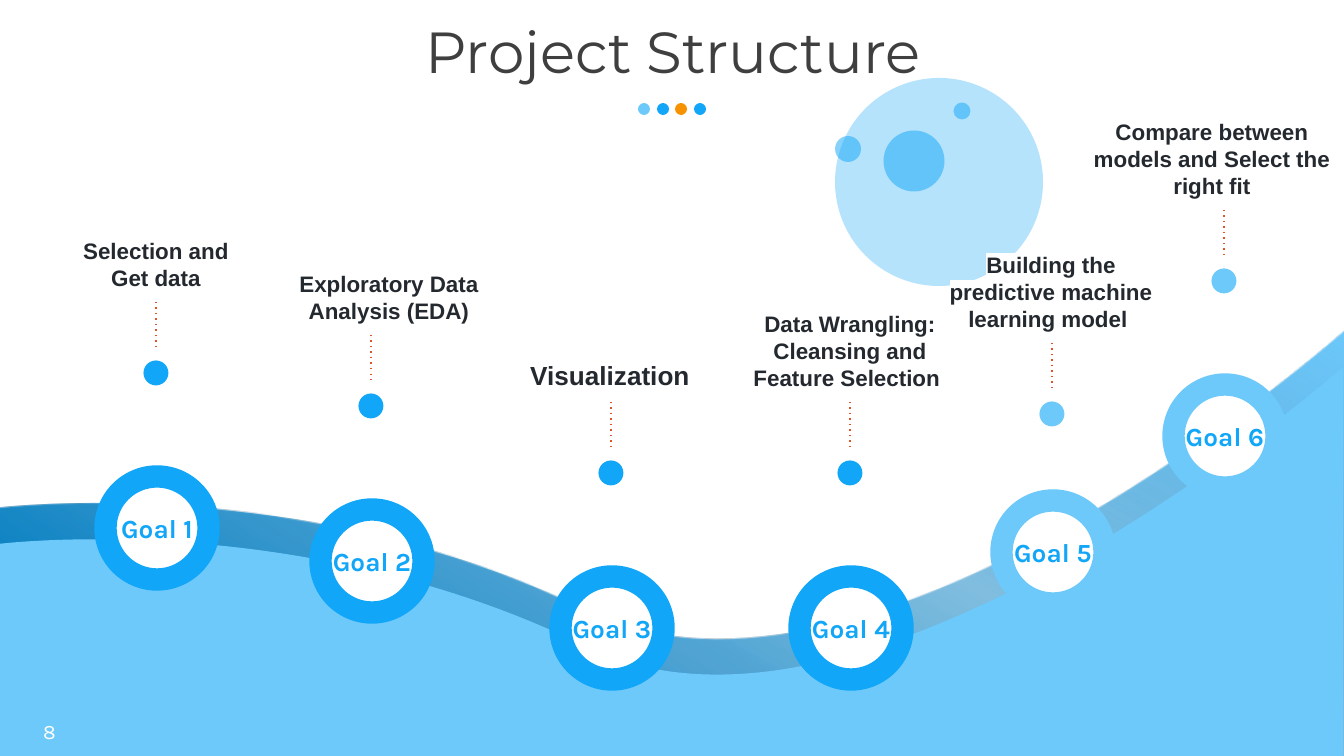
import pptx
import pptx.dml.color
import pptx.enum.dml
import pptx.enum.shapes
import pptx.enum.text
import pptx.oxml
import pptx.oxml.ns
import pptx.util

WIDTH, HEIGHT = 1344, 756
EMU_PER_PX = 914400 / 134.4
COLORS = {
    "blue": "11A6F8", "sky": "6EC9FB", "deep": "057EC1", "orange": "F69200",
    "white": "FFFFFF", "ink": "24292F", "title": "3F3F3F", "pin": "DF5327",
}
ALIGN = pptx.enum.text.PP_ALIGN
ANCHOR = pptx.enum.text.MSO_ANCHOR

WAVE_START = (-1, 508)
# two control points and an end point each
WAVE_CURVES = [
    [(-1, 508), (300, 470), (586, 610)],
    [(871, 750), (1344, 331), (1344, 331)],
]
WAVE_FOOT = [(1344, 757), (-1, 757)]
ROAD_STOPS = [(0, "deep", 100), (13, "deep", 100), (61, "deep", 50), (100, "sky", 100)]

TITLE_DOTS = [(644, "sky"), (663, "blue"), (681, "orange"), (700, "blue")]
# centre x, centre y, diameter, colour
MOON = [(939, 182, 208, "sky"), (914, 161, 61, "blue"),
        (848, 149, 26, "blue"), (962, 111, 17, "blue")]
# ring centre x and y, pin dot y, label centre x, label width, label size, colour, label
GOALS = [
    (157, 528, 373, 156, 191, 12, "blue", "Selection and Get data"),
    (372, 561, 406, 389, 227, 12, "blue", "Exploratory Data Analysis (EDA)"),
    (612, 628, 473, 610, 191, 14, "blue", "Visualization"),
    (851, 628, 473, 850, 238, 12, "blue",
     "Data Wrangling: Cleansing and Feature Selection "),
    (1053, 552, 414, 1051, 239, 12, "sky",
     "Building the predictive machine learning model "),
    (1225, 436, 281, 1212, 263, 12, "sky",
     "Compare between models and Select the right fit"),
]


def px(length):
    return pptx.util.Emu(round(length * EMU_PER_PX))


def rgb(color):
    return pptx.dml.color.RGBColor.from_string(COLORS[color])


def xml(tag, body="", **attributes):
    """Return one DrawingML element."""
    listed = "".join(f' {name}="{value}"' for name, value in attributes.items())
    namespace = pptx.oxml.ns.nsdecls("a")
    return pptx.oxml.parse_xml(f"<a:{tag} {namespace}{listed}>{body}</a:{tag}>")


def add_disc(shapes, x, y, diameter, color, alpha=None):
    """Add a filled circle centred on x, y."""
    disc = shapes.add_shape(
        pptx.enum.shapes.MSO_SHAPE.OVAL,
        px(x - diameter / 2), px(y - diameter / 2), px(diameter), px(diameter))
    disc.shadow.inherit = False
    disc.fill.solid()
    disc.fill.fore_color.rgb = rgb(color)
    disc.line.fill.background()
    if alpha:
        color_node = disc._element.spPr.find(".//" + pptx.oxml.ns.qn("a:srgbClr"))
        color_node.append(xml("alpha", val=alpha * 1000))
    return disc


def add_text(shapes, frame, text, size, font, color, bold=False, align=ALIGN.CENTER,
             anchor=ANCHOR.MIDDLE, highlight=None, spacing=None):
    box = shapes.add_textbox(*map(px, frame))
    body = box.text_frame
    body.word_wrap = True
    body.vertical_anchor = anchor
    body.margin_left = body.margin_right = px(9)
    body.margin_top = body.margin_bottom = px(5)
    para = body.paragraphs[0]
    para.alignment = align
    if spacing:
        para.line_spacing = spacing
    span = para.add_run()
    span.text = text
    span.font.size = pptx.util.Pt(size)
    span.font.bold = bold
    span.font.name = font
    span.font.color.rgb = rgb(color)
    if highlight:
        fill = span.font._element.find(pptx.oxml.ns.qn("a:solidFill"))
        fill.addnext(xml("highlight", f'<a:srgbClr val="{COLORS[highlight]}"/>'))


def add_pin_line(shapes, x, top, bottom):
    line = shapes.add_connector(
        pptx.enum.shapes.MSO_CONNECTOR.STRAIGHT, px(x), px(top), px(x), px(bottom))
    line.line.color.rgb = rgb("pin")
    line.line.width = pptx.util.Pt(0.75)
    line.line.dash_style = pptx.enum.dml.MSO_LINE.ROUND_DOT
    properties = line._element.spPr
    properties.find(".//" + pptx.oxml.ns.qn("a:prstDash")).set("val", "dot")
    properties.append(xml("effectLst"))


def add_wave(page, shift_x=0, shift_y=0):
    """Add the area below the curves; its first edges are bent into cubics."""
    def place(point):
        return px(point[0] + shift_x), px(point[1] + shift_y)

    corners = [curve[-1] for curve in WAVE_CURVES] + WAVE_FOOT
    builder = page.shapes.build_freeform(*place(WAVE_START), scale=1.0)
    builder.add_line_segments([place(corner) for corner in corners], close=True)
    wave = builder.convert_to_shape()
    edges = wave._element.spPr.findall(".//" + pptx.oxml.ns.qn("a:lnTo"))
    for edge, curve in zip(edges, WAVE_CURVES):
        points = "".join(f'<a:pt x="{x - wave.left}" y="{y - wave.top}"/>'
                         for x, y in map(place, curve))
        edge.getparent().replace(edge, xml("cubicBezTo", points))
    wave.shadow.inherit = False
    wave.line.fill.background()
    wave.fill.solid()
    wave.fill.fore_color.rgb = rgb("sky")
    return wave


def fill_road(road):
    stops = "".join(
        f'<a:gs pos="{place * 1000}"><a:srgbClr val="{COLORS[color]}">'
        f'<a:alpha val="{alpha * 1000}"/></a:srgbClr></a:gs>'
        for place, color, alpha in ROAD_STOPS)
    gradient = xml("gradFill", f'<a:gsLst>{stops}</a:gsLst>'
                   f'<a:lin ang="{300 * 60000}" scaled="0"/>', rotWithShape=1)
    properties = road._element.spPr
    properties.replace(properties.find(pptx.oxml.ns.qn("a:solidFill")), gradient)


def add_goal(page, number, x, y, dot_y, label_x, label_width, label_size, color, label):
    shapes = page.shapes.add_group_shape().shapes
    add_text(shapes, (label_x - label_width / 2, dot_y - 147, label_width, 70), label,
             label_size, "Arial", "ink", bold=True, anchor=ANCHOR.BOTTOM,
             highlight="white")
    add_disc(shapes, x - 1, dot_y, 25, color)
    add_pin_line(shapes, x - 1, dot_y - 71, dot_y - 24)
    ring = add_disc(shapes, x, y, 103, "white")
    ring.line.color.rgb = rgb(color)
    ring.line.width = pptx.util.Pt(12)
    add_text(shapes, (x - 119, y - 35, 238, 70), f"Goal {number}", 14, "Karla",
             "blue", bold=True)


def main():
    deck = pptx.Presentation()
    deck.slide_width, deck.slide_height = px(WIDTH), px(HEIGHT)
    page = deck.slides.add_slide(deck.slide_layouts[6])
    title_dots = page.shapes.add_group_shape().shapes
    for x, color in TITLE_DOTS:
        add_disc(title_dots, x, 109, 12, color)
    fill_road(add_wave(page))
    add_wave(page, shift_x=-1, shift_y=36)
    for x, y, diameter, color in MOON:
        add_disc(page.shapes, x, y, diameter, color, alpha=50)
    add_text(page.shapes, (31, 23, 1284, 64), "Project Structure", 31, "Montserrat",
             "title", spacing=0.9)
    for number, goal in enumerate(GOALS, start=1):
        add_goal(page, number, *goal)
    add_text(page.shapes, (34, 711, 313, 40), "8", 11, "Karla", "white",
             align=ALIGN.LEFT)
    deck.save("out.pptx")


if __name__ == "__main__":
    main()
